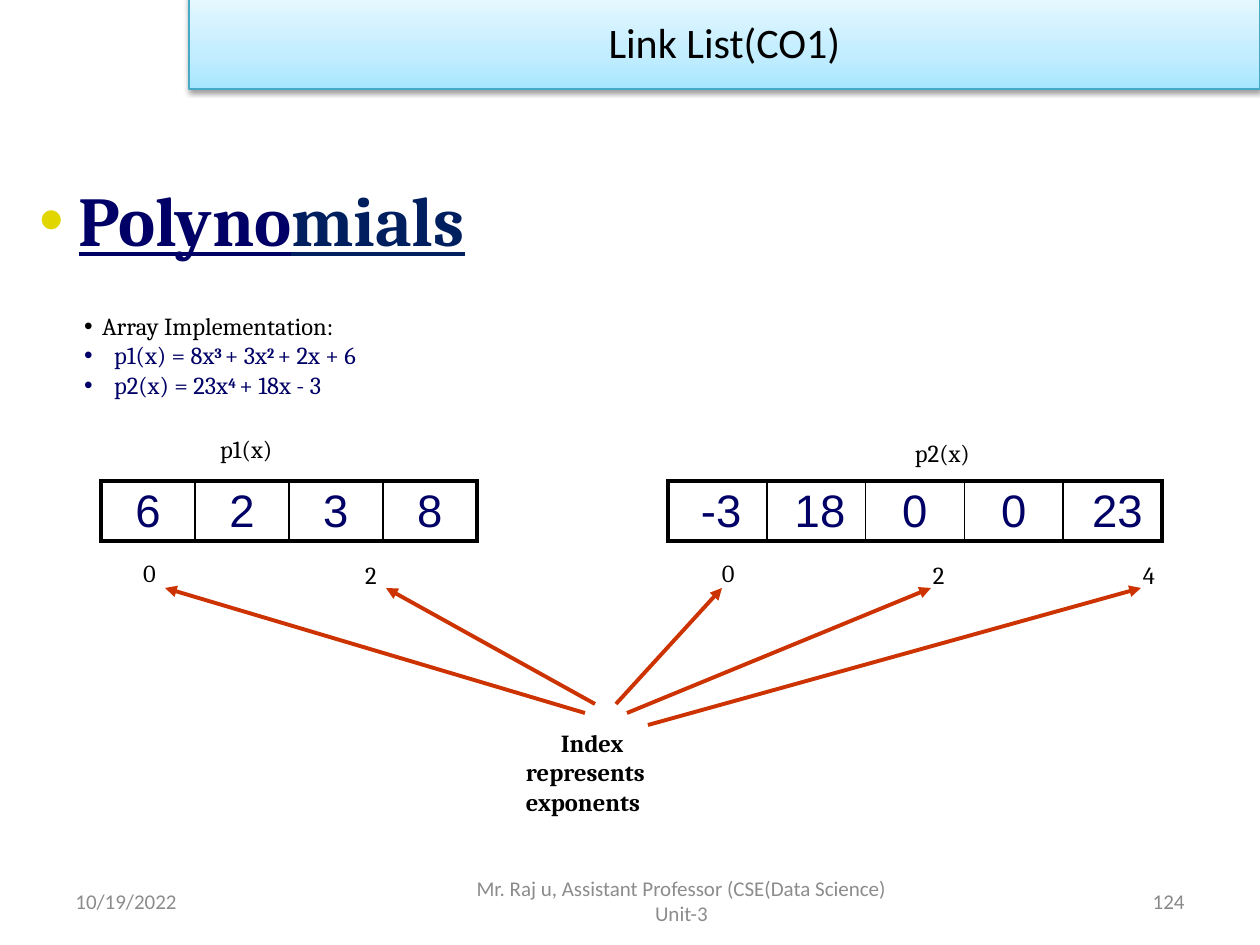
from copy import deepcopy

from lxml import etree
from pptx import Presentation, util as u
from pptx.dml.color import RGBColor
from pptx.enum import shapes, text
from pptx.oxml.ns import qn

SCALE = 914400 / 126  # EMU per px
BLACK = RGBColor(0x00, 0x00, 0x00)
NAVY = RGBColor(0x00, 0x00, 0x66)
DEEP_BLUE = RGBColor(0x00, 0x1F, 0x5F)
YELLOW = RGBColor(0xE1, 0xD6, 0x00)
RED = RGBColor(0xCC, 0x33, 0x00)
GREY = RGBColor(0x8C, 0x8C, 0x8C)
PAGE_GREY = RGBColor(0x89, 0x89, 0x89)
TEAL = RGBColor(0x46, 0xAA, 0xC5)
SKY = [(0, RGBColor(0xA7, 0xE6, 0xFF)), (0.35, RGBColor(0xC1, 0xED, 0xFF)),
       (1, RGBColor(0xE7, 0xF8, 0xFF))]
ALIGN = text.PP_ALIGN


def px(length):
    return u.Emu(round(length * SCALE))


def add_xml(parent, tag, **attributes):
    return etree.SubElement(parent, qn(tag), attributes)


def style(font, size, color, name="Cambria", bold=False):
    font.size, font.name, font.bold = u.Pt(size), name, bold
    font.color.rgb = color


def indent(paragraph, left, first=0):
    properties = paragraph._p.get_or_add_pPr()
    properties.set("marL", str(px(left)))
    properties.set("indent", str(px(first)))
    return properties


def bullet(paragraph, left, first, color=None):
    properties = indent(paragraph, left, first)
    if color is not None:
        add_xml(add_xml(properties, "a:buClr"), "a:srgbClr", val=str(color))
    add_xml(properties, "a:buFont", typeface="Arial")
    add_xml(properties, "a:buChar", char="•")


def text_frame(slide, box, grow=True):
    frame = slide.shapes.add_textbox(*map(px, box)).text_frame
    frame.word_wrap = True
    if grow:
        frame.margin_left = frame.margin_right = frame.margin_bottom = 0
        frame.margin_top = px(1)
        frame.auto_size = text.MSO_AUTO_SIZE.SHAPE_TO_FIT_TEXT
    return frame


def label(slide, box, words, bold=False, first=0):
    frame = text_frame(slide, box)
    frame.text = words
    indent(frame.paragraphs[0], 1, first)
    style(frame.paragraphs[0].runs[0].font, 14, BLACK, bold=bold)


def header(slide, box):
    banner = slide.shapes.add_shape(shapes.MSO_SHAPE.RECTANGLE, *map(px, box))
    banner.fill.gradient()
    banner.fill.gradient_angle = 90
    properties = banner._element.spPr
    stops = properties.find(qn("a:gradFill")).find(qn("a:gsLst"))
    stops.insert(1, deepcopy(stops[0]))
    for stop, (position, color) in zip(banner.fill.gradient_stops, SKY):
        stop.position, stop.color.rgb = position, color
    banner.line.color.rgb, banner.line.width = TEAL, u.Pt(0.75)
    banner.shadow.inherit = False
    shadow = add_xml(properties.find(qn("a:effectLst")), "a:outerShdw",
                     blurRad=str(u.Pt(3.1)), dist=str(u.Pt(1.6)),
                     dir="5400000", rotWithShape="0")
    add_xml(add_xml(shadow, "a:srgbClr", val=str(BLACK)), "a:alpha", val="38000")
    frame = banner.text_frame
    frame.text = "Link List(CO1)"
    frame.vertical_anchor = text.MSO_ANCHOR.MIDDLE
    frame.paragraphs[0].alignment = ALIGN.CENTER
    style(frame.paragraphs[0].runs[0].font, 24, BLACK, "Calibri")


def heading(slide, box):
    paragraph = text_frame(slide, box).paragraphs[0]
    bullet(paragraph, 40, -39, YELLOW)
    for words, color in (("Polyno", NAVY), ("mials", DEEP_BLUE)):
        run = paragraph.add_run()
        run.text = words
        style(run.font, 40, color, bold=True)
        run.font.underline = True


def definitions(slide, box):
    frame = text_frame(slide, box)
    intro = frame.paragraphs[0]
    intro.text = "Array Implementation:"
    bullet(intro, 23, -18)
    style(intro.runs[0].font, 14, BLACK)

    # Polynomials: every second part is an exponent
    for parts in (("p1(x) = 8x", "3 ", "+ 3x", "2 ", "+ 2x + 6"),
                  ("p2(x) = 23x", "4 ", "+ 18x - 3")):
        polynomial = frame.add_paragraph()
        bullet(polynomial, 35, -30)
        for i, part in enumerate(parts):
            run = polynomial.add_run()
            run.text = part
            exponent = i % 2 == 1
            style(run.font, 14, NAVY, bold=exponent)
            if exponent:
                run._r.get_or_add_rPr().set("baseline", "25000")

    array_name = frame.add_paragraph()
    array_name.text = "p1(x)"
    indent(array_name, 141)
    array_name.space_before = u.Pt(19.6)
    style(array_name.runs[0].font, 14, BLACK)


def border(cell, side, width):
    line = add_xml(cell._tc.get_or_add_tcPr(), "a:" + side, w=str(u.Pt(width)))
    add_xml(add_xml(line, "a:solidFill"), "a:srgbClr", val=str(BLACK))


def coefficient_array(slide, box, coefficients, indices):
    """coefficients: (value, left indent or None to centre); indices: (digit, x, y)."""
    left, top, width, height = box
    count = len(coefficients)
    table = slide.shapes.add_table(1, count, *map(px, box)).table
    table.first_row = table.horz_banding = False
    for i, (value, margin) in enumerate(coefficients):
        table.columns[i].width = px(width / count)
        cell = table.cell(0, i)
        cell.margin_left = cell.margin_right = cell.margin_bottom = 0
        cell.margin_top = px(5)
        border(cell, "lnL", 2.25 if i == 0 else 1)
        border(cell, "lnR", 2.25 if i == count - 1 else 1)
        border(cell, "lnT", 2.25)
        border(cell, "lnB", 2.25)
        cell.fill.background()
        cell.text = value
        paragraph = cell.text_frame.paragraphs[0]
        if margin is None:
            paragraph.alignment = ALIGN.CENTER
        else:
            indent(paragraph, margin)
        style(paragraph.runs[0].font, 26, NAVY, "Arial")
    for digit, x, y in indices:
        label(slide, (left + x, top + y, 20, 32), digit)


def index_note(slide, box):
    left, top, _, _ = box
    label(slide, box, "Index represents exponents", bold=True, first=35)
    # Arrows from the note to the indices: start, tip
    for start_x, start_y, tip_x in ((60, -14, -360), (70, -23, -139), (91, -23, 197),
                                    (102, -14, 406), (123, -2, 616)):
        arrow = slide.shapes.add_connector(
            shapes.MSO_CONNECTOR.STRAIGHT, px(left + start_x), px(top + start_y),
            px(left + tip_x), px(top - 139))
        arrow.line.color.rgb, arrow.line.width = RED, u.Pt(2.25)
        add_xml(arrow.line._get_or_add_ln(), "a:tailEnd", type="triangle")
        add_xml(arrow._element.spPr, "a:effectLst")


def footer(slide, box):
    left, top, _, height = box
    for x, width, words, align, color in (
            (0, 294, "10/19/2022", ALIGN.LEFT, GREY),
            (368, 501, "Mr. Raj u, Assistant Professor (CSE(Data Science)\vUnit-3",
             ALIGN.CENTER, GREY),
            (840, 294, "124", ALIGN.RIGHT, PAGE_GREY)):
        frame = text_frame(slide, (left + x, top, width, height), grow=False)
        frame.vertical_anchor = text.MSO_ANCHOR.MIDDLE
        frame.text = words
        frame.paragraphs[0].alignment = align
        for run in frame.paragraphs[0].runs:
            style(run.font, 12, color, "Calibri")


def main():
    deck = Presentation()
    deck.slide_width, deck.slide_height = px(1260), px(945)
    slide = deck.slides.add_slide(deck.slide_layouts[6])
    heading(slide, (39, 176, 452, 87))
    definitions(slide, (79, 310, 621, 156))
    coefficient_array(slide, (101, 481, 376, 60),
                      [(value, None) for value in "6238"],
                      [("0", 41, 76), ("2", 263, 78)])
    label(slide, (914, 437, 98, 32), "p2(x)")
    coefficient_array(slide, (668, 481, 494, 60),
                      [("-3", 33), ("18", 28), ("0", None), ("0", None), ("23", 29)],
                      [("0", 53, 76), ("2", 264, 78), ("4", 474, 78)])
    index_note(slide, (525, 727, 161, 91))
    footer(slide, (63, 876, 1134, 50))
    header(slide, (189, -5, 1071, 94))
    deck.save("out.pptx")


if __name__ == "__main__":
    main()
